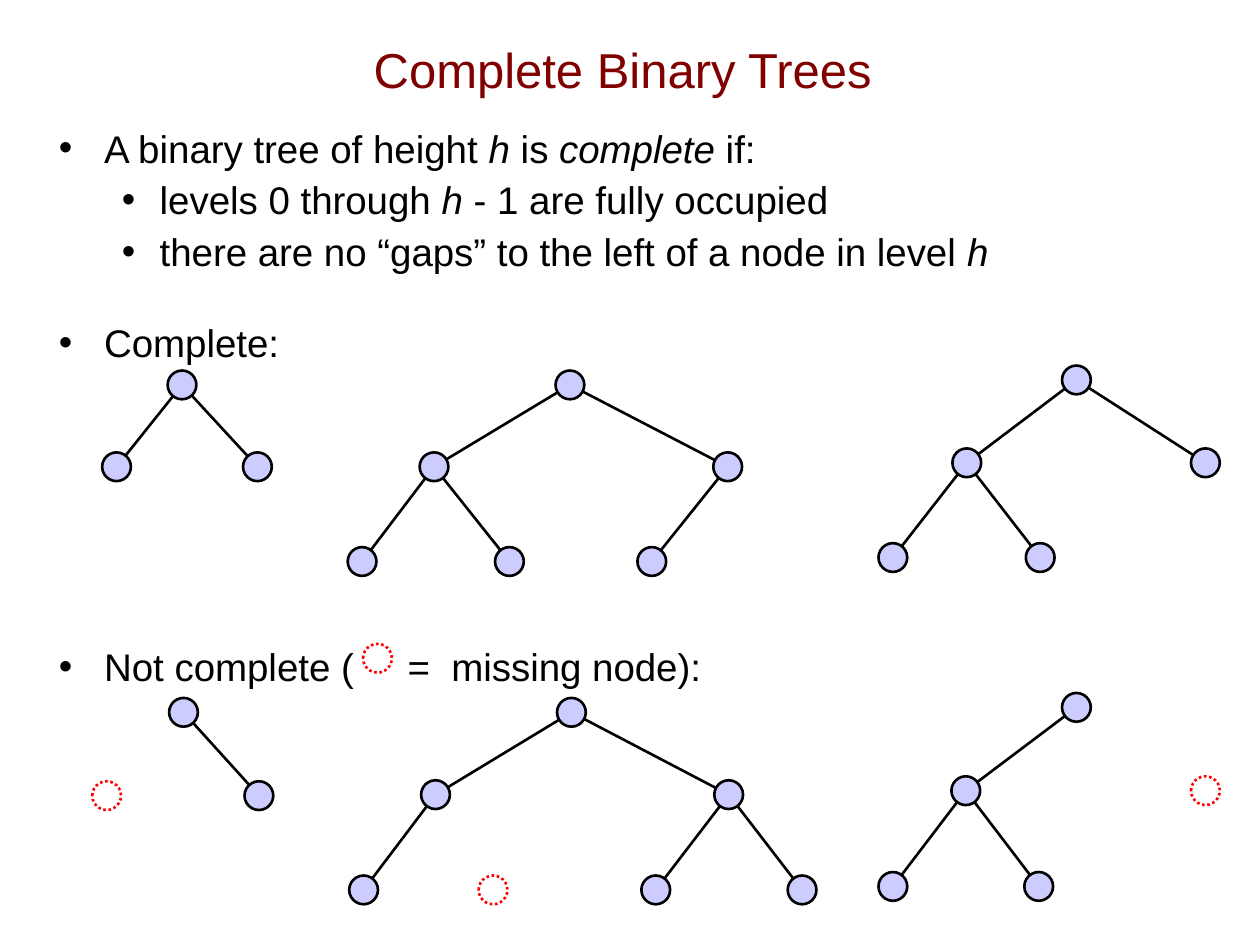
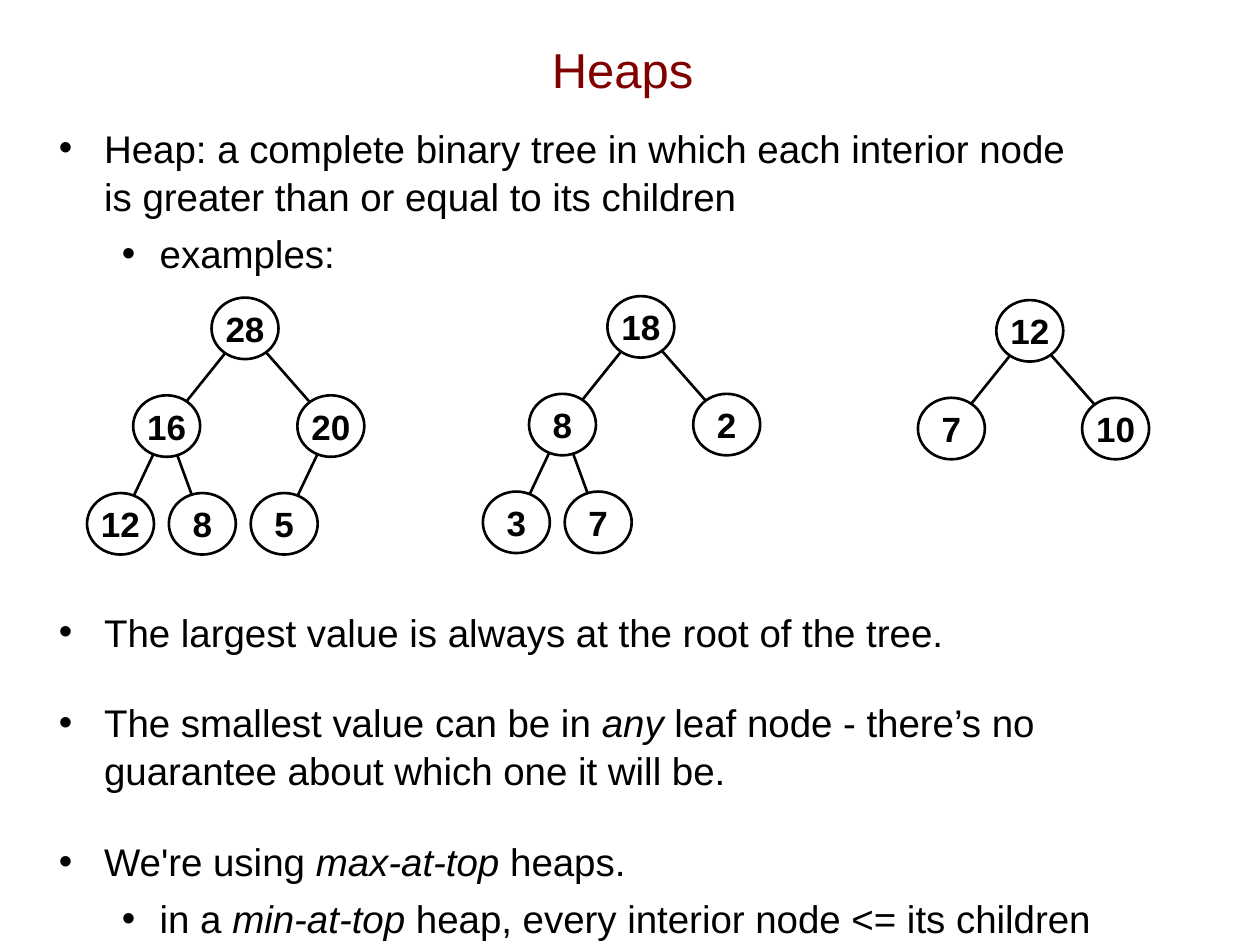
"""Builds two lecture slides on complete binary trees and heaps."""
from math import hypot

from lxml import etree
from pptx import Presentation
from pptx.dml.color import RGBColor
from pptx.enum.dml import MSO_LINE
from pptx.enum.shapes import MSO_CONNECTOR, MSO_SHAPE
from pptx.enum.text import MSO_ANCHOR, PP_ALIGN
from pptx.oxml.ns import qn
from pptx.util import Cm, Pt

OVAL = MSO_SHAPE.OVAL
STRAIGHT = MSO_CONNECTOR.STRAIGHT
DOTTED = MSO_LINE.ROUND_DOT
MIDDLE = MSO_ANCHOR.MIDDLE
CENTER = PP_ALIGN.CENTER

FONT = "Arial"
MAROON, BLACK, LAVENDER, RED = "800000", "000000", "CCCCFF", "FF0000"
INDENTS = [(0.91, -0.91), (2.03, -0.76)]
NODE_SIZE = (0.58, 0.58)
HEAP_NODE_SIZE = (1.35, 1.24)


def style_font(font, size, color, bold=False, italic=False):
    """Set the typeface, size, colour and emphasis of a font."""
    font.name, font.size = FONT, Pt(size)
    font.bold, font.italic = bold, italic
    font.color.rgb = RGBColor.from_string(color)


def draw_tree(slide, xs, level_ys, size, fill=None, labels=(), missing=()):
    """Draw a tree given in level order by node centres in centimetres."""
    width, height = size
    centres = [(x, level_ys[(i + 1).bit_length() - 1]) for i, x in enumerate(xs)]
    for i, (x, y) in enumerate(centres):
        absent = i in missing
        node = slide.shapes.add_shape(
            OVAL, Cm(x - width / 2), Cm(y - height / 2), Cm(width), Cm(height))
        node.shadow.inherit = False
        node.line.width = Pt(1.5)
        node.line.color.rgb = RGBColor.from_string(RED if absent else BLACK)
        if absent:
            node.line.dash_style = DOTTED
        if fill and not absent:
            node.fill.solid()
            node.fill.fore_color.rgb = RGBColor.from_string(fill)
        else:
            node.fill.background()
        if labels:
            frame = node.text_frame
            frame.margin_left = frame.margin_right = 0
            frame.margin_top = frame.margin_bottom = 0
            frame.vertical_anchor = MIDDLE
            frame.word_wrap = False
            frame.paragraphs[0].alignment = CENTER
            run = frame.paragraphs[0].add_run()
            run.text = str(labels[i])
            style_font(run.font, 20, BLACK, bold=True)
        if i == 0 or absent:
            continue
        parent_x, parent_y = centres[(i - 1) // 2]
        dx, dy = x - parent_x, y - parent_y
        rim = 1 / hypot(2 * dx / width, 2 * dy / height)
        edge = slide.shapes.add_connector(
            STRAIGHT, Cm(parent_x + rim * dx), Cm(parent_y + rim * dy),
            Cm(x - rim * dx), Cm(y - rim * dy))
        edge.line.width = Pt(1.5)
        edge.line.color.rgb = RGBColor.from_string(BLACK)
        etree.SubElement(edge._element.spPr, qn("a:effectLst"))


# Each bullet is level, space before, then alternating plain and italic text.
LESSONS = [
    ("Complete Binary Trees", [
        (0, 0, ["A binary tree of height ", "h", " is ", "complete", " if:"]),
        (1, 2, ["levels 0 through ", "h", " - 1 are fully occupied"]),
        (1, 2, ["there are no “gaps” to the left of a node in level ", "h"]),
        (0, 24, ["Complete:"]),
        (0, 157.5, ["Not complete (", " ", "=", " ", "missing node):"]),
    ]),
    ("Heaps", [
        (0, 0, ["Heap: a complete binary tree in which each interior node\n"
                "is greater than or equal to its children"]),
        (1, 5, ["examples:"]),
        (0, 188.5, ["The largest value is always at the root of the tree."]),
        (0, 24, ["The smallest value can be in ", "any",
                 " leaf node - there’s no guarantee about which one it will be."]),
        (0, 24, ["We're using ", "max-at-top", " heaps."]),
        (1, 5, ["in a ", "min-at-top",
                " heap, every interior node <= its children"]),
    ]),
]

prs = Presentation()
prs.slide_width, prs.slide_height = Cm(25.4), Cm(19.05)

bodies = []
for heading, bullets in LESSONS:
    slide = prs.slides.add_slide(prs.slide_layouts[5])
    title = slide.shapes.title
    title.left, title.top, title.width, title.height = Cm(1.63), Cm(0.2), Cm(21.84), Cm(2.36)
    title.text_frame.vertical_anchor = MIDDLE
    title.text_frame.paragraphs[0].alignment = CENTER
    run = title.text_frame.paragraphs[0].add_run()
    run.text = heading
    style_font(run.font, 28, MAROON)

    body = slide.shapes.add_textbox(Cm(0.94), Cm(2.34), Cm(23.29), Cm(15.6)).text_frame
    body.word_wrap = True
    bodies.append(body)
    for number, (level, before, pieces) in enumerate(bullets):
        paragraph = body.add_paragraph() if number else body.paragraphs[0]
        paragraph.level = level
        paragraph.space_before = Pt(before)
        paragraph.line_spacing = 1.05
        margin, hanging = INDENTS[level]
        props = paragraph._p.get_or_add_pPr()
        props.set("marL", str(Cm(margin)))
        props.set("indent", str(Cm(hanging)))
        etree.SubElement(props, qn("a:buFont")).set("typeface", FONT)
        etree.SubElement(props, qn("a:buChar")).set("char", "•")
        for position, piece in enumerate(pieces):
            for row, text in enumerate(piece.split("\n")):
                if row:
                    paragraph.add_line_break()
                run = paragraph.add_run()
                run.text = text
                style_font(run.font, 22, BLACK, italic=position % 2 == 1 and text != " ")

trees_slide, heaps_slide = prs.slides

legend_runs = bodies[0].paragraphs[-1].runs
for position, tracking in ((1, 2450), (3, 610)):
    legend_runs[position]._r.get_or_add_rPr().set("spc", str(tracking))
draw_tree(trees_slide, [7.61], [13.27], NODE_SIZE, missing=[0])

TREES = [
    ([3.67, 2.35, 5.19], [7.76, 9.41], []),
    ([11.49, 8.75, 14.67, 7.3, 10.27, 13.14], [7.76, 9.41, 11.32], []),
    ([21.7, 19.49, 24.3, 18, 20.97], [7.66, 9.33, 11.24], []),
    ([3.7, 2.15, 5.22], [14.36, 16.04], [1]),
    ([11.52, 8.78, 14.69, 7.33, 9.94, 13.22, 16.17], [14.36, 16.02, 17.94], [4]),
    ([21.7, 19.47, 24.3, 18, 20.94], [14.26, 15.94, 17.87], [2]),
]
for xs, level_ys, missing in TREES:
    draw_tree(trees_slide, xs, level_ys, NODE_SIZE, LAVENDER, missing=missing)

HEAP_OFFSETS = [0, -1.58, 1.73, -2.51, -0.86, 0.79]
HEAP_LEVEL_GAP = 1.97
HEAPS = [
    (4.94, 6.62, [28, 16, 20, 12, 8, 5]),
    (12.92, 6.59, [18, 8, 2, 3, 7]),
    (20.76, 6.67, [12, 7, 10]),
]
for root_x, root_y, values in HEAPS:
    xs = [root_x + offset for offset in HEAP_OFFSETS[:len(values)]]
    level_ys = [root_y + HEAP_LEVEL_GAP * level for level in range(3)]
    draw_tree(heaps_slide, xs, level_ys, HEAP_NODE_SIZE, labels=values)

prs.save("out.pptx")
